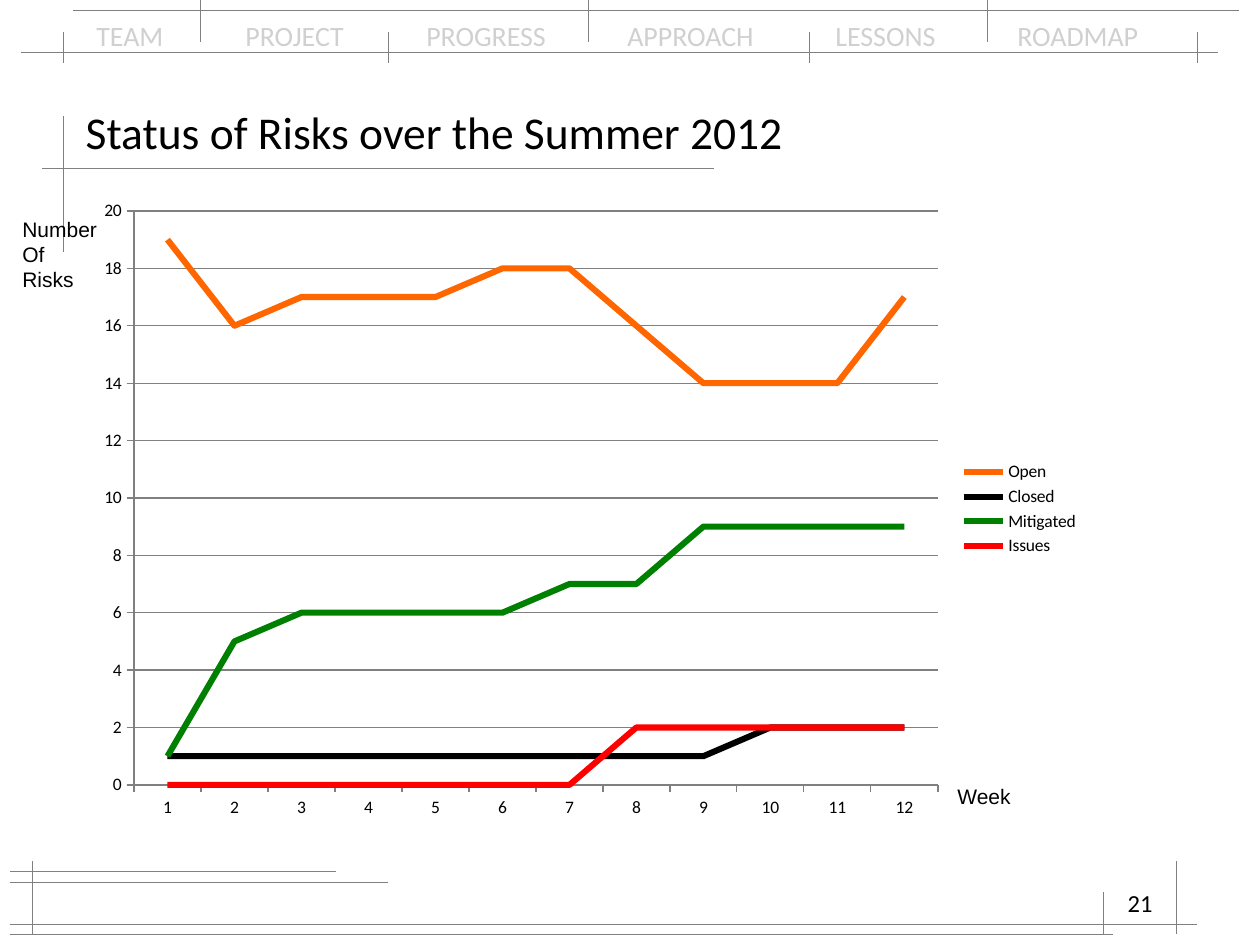
from dataclasses import dataclass

from lxml.etree import SubElement
from pptx import Presentation
from pptx.chart.data import CategoryChartData
from pptx.dml.color import RGBColor
from pptx.enum.chart import XL_CHART_TYPE, XL_LEGEND_POSITION, XL_TICK_MARK
from pptx.enum.shapes import MSO_CONNECTOR
from pptx.enum.text import MSO_ANCHOR, MSO_AUTO_SIZE, PP_ALIGN
from pptx.oxml.ns import qn
from pptx.util import Emu, Pt

EMU_PER_PX = 914400 / 126

BLACK = RGBColor(0, 0, 0)
GRAY = RGBColor(0x80, 0x80, 0x80)
NAV_GRAY = RGBColor(0xD0, 0xD0, 0xD0)
ORANGE = RGBColor(0xFF, 0x66, 0x00)
GREEN = RGBColor(0x00, 0x80, 0x00)
RED = RGBColor(0xFF, 0x00, 0x00)


@dataclass(frozen=True)
class Area:
    left: int
    top: int
    width: int
    height: int

    def emu(self) -> list[Emu]:
        return [px(n) for n in (self.left, self.top, self.width, self.height)]


@dataclass(frozen=True)
class Rule:
    """A straight rule: position across its direction, then start and end along it."""
    position: int
    start: int
    end: int


@dataclass(frozen=True)
class RiskSeries:
    name: str
    values: tuple[int, ...]
    color: RGBColor


HORIZONTAL_RULES = (
    Rule(52, 21, 1218), Rule(10, 73, 1239), Rule(168, 42, 714),
    Rule(882, 10, 388), Rule(924, 10, 1197), Rule(871, 10, 336),
    Rule(934, 10, 1113),
)
VERTICAL_RULES = (
    Rule(63, 116, 252), Rule(32, 861, 934), Rule(1176, 861, 934), Rule(1103, 892, 934),
    *(Rule(x, 32, 63) for x in (63, 388, 809, 1197)),
    *(Rule(x, -32, 42) for x in (200, 588, 987)),
)

NAV_LABELS = ("TEAM", "PROJECT", "PROGRESS", "APPROACH", "LESSONS", "ROADMAP")
NAV_TABS = (149, 330, 531, 739, 921)

RISKS = (
    RiskSeries("Open", (19, 16, 17, 17, 17, 18, 18, 16, 14, 14, 14, 17), ORANGE),
    RiskSeries("Closed", (1,) * 9 + (2,) * 3, BLACK),
    RiskSeries("Mitigated", (1, 5, 6, 6, 6, 6, 7, 7, 9, 9, 9, 9), GREEN),
    RiskSeries("Issues", (0,) * 7 + (2,) * 5, RED),
)
CHART_AREA = Area(84, 189, 1008, 640)
PLOT_AREA = Area(134, 211, 804, 574)


def px(length: int) -> Emu:
    return Emu(round(length * EMU_PER_PX))


def add_line(page, x1: int, y1: int, x2: int, y2: int) -> None:
    line = page.shapes.add_connector(MSO_CONNECTOR.STRAIGHT, px(x1), px(y1), px(x2), px(y2))
    line.line.color.rgb = GRAY
    line.line.width = Pt(0.3)
    SubElement(line._element.spPr, qn("a:effectLst"))


def add_span(para, text: str, size: int, font: str, color: RGBColor) -> None:
    span = para.add_run()
    span.text = text
    span.font.size = Pt(size)
    span.font.name = font
    span.font.color.rgb = color


def add_text(page, area: Area, lines: tuple[str, ...], size: int, font: str,
             color: RGBColor = BLACK, align: PP_ALIGN = PP_ALIGN.LEFT, wrap: bool = True):
    frame = page.shapes.add_textbox(*area.emu()).text_frame
    frame.word_wrap = wrap
    for index, text in enumerate(lines):
        para = frame.add_paragraph() if index else frame.paragraphs[0]
        para.alignment = align
        add_span(para, text, size, font, color)
    return frame


def add_navigation(page) -> None:
    frame = add_text(page, Area(84, 12, 1092, 47), ("\t".join(NAV_LABELS),),
                     16, "Calibri", NAV_GRAY)
    tab_list = SubElement(frame.paragraphs[0]._p.get_or_add_pPr(), qn("a:tabLst"))
    for position in NAV_TABS:
        SubElement(tab_list, qn("a:tab"), pos=str(px(position)), algn="l")


def format_title(page) -> None:
    title = page.shapes.title
    title.left, title.top, title.width, title.height = Area(73, 95, 1113, 73).emu()
    frame = title.text_frame
    frame.auto_size = MSO_AUTO_SIZE.NONE
    frame.vertical_anchor = MSO_ANCHOR.MIDDLE
    para = frame.paragraphs[0]
    para.alignment = PP_ALIGN.LEFT
    add_span(para, "Status of Risks over the Summer 2012", 26, "Calibri", BLACK)


def fix_plot_area(chart) -> None:
    """Pin the inner plot area to PLOT_AREA as fractions of the chart."""
    plot_area = chart._chartSpace.chart.plotArea
    layout = plot_area.find(qn("c:layout"))
    if layout is None:
        layout = SubElement(plot_area, qn("c:layout"))
        plot_area.insert(0, layout)
    manual = SubElement(layout, qn("c:manualLayout"))
    settings = {
        "layoutTarget": "inner", "xMode": "edge", "yMode": "edge",
        "x": round((PLOT_AREA.left - CHART_AREA.left) / CHART_AREA.width, 4),
        "y": round((PLOT_AREA.top - CHART_AREA.top) / CHART_AREA.height, 4),
        "w": round(PLOT_AREA.width / CHART_AREA.width, 4),
        "h": round(PLOT_AREA.height / CHART_AREA.height, 4),
    }
    for name, value in settings.items():
        SubElement(manual, qn(f"c:{name}"), val=str(value))


def add_risk_chart(page) -> None:
    data = CategoryChartData(number_format="General")
    data.categories = [str(week) for week in range(1, 13)]
    for risk in RISKS:
        data.add_series(risk.name, risk.values)
    chart = page.shapes.add_chart(XL_CHART_TYPE.LINE, *CHART_AREA.emu(), data).chart
    chart.has_title = False
    chart.font.size = Pt(10)
    chart.font.name = "Calibri"
    chart.font.color.rgb = BLACK
    chart.has_legend = True
    chart.legend.position = XL_LEGEND_POSITION.RIGHT
    chart.legend.include_in_layout = False

    for axis in (chart.category_axis, chart.value_axis):
        axis.major_tick_mark = XL_TICK_MARK.OUTSIDE
        axis.minor_tick_mark = XL_TICK_MARK.NONE
        axis.format.line.color.rgb = GRAY
        axis.format.line.width = Pt(0.75)
    values = chart.value_axis
    values.minimum_scale, values.maximum_scale, values.major_unit = 0, 20, 2
    values.has_major_gridlines = True
    values.major_gridlines.format.line.color.rgb = GRAY
    values.major_gridlines.format.line.width = Pt(0.75)

    plot = chart.plots[0]
    plot.vary_by_categories = False
    for series, risk in zip(plot.series, RISKS):
        series.smooth = False
        series.format.line.color.rgb = risk.color
        series.format.line.width = Pt(3.5)
    fix_plot_area(chart)


def main() -> None:
    deck = Presentation()
    deck.slide_width, deck.slide_height = px(1260), px(945)
    page = deck.slides.add_slide(deck.slide_layouts[5])

    add_navigation(page)
    for rule in HORIZONTAL_RULES:
        add_line(page, rule.start, rule.position, rule.end, rule.position)
    for rule in VERTICAL_RULES:
        add_line(page, rule.position, rule.start, rule.position, rule.end)
    format_title(page)
    add_text(page, Area(903, 882, 262, 63), ("21",), 14, "Calibri", align=PP_ALIGN.RIGHT)
    add_risk_chart(page)
    add_text(page, Area(10, 210, 102, 89), ("Number", "Of", "Risks"), 12, "Arial", wrap=False)
    add_text(page, Area(945, 777, 79, 38), ("Week",), 12, "Arial", wrap=False)
    deck.save("out.pptx")


if __name__ == "__main__":
    main()
